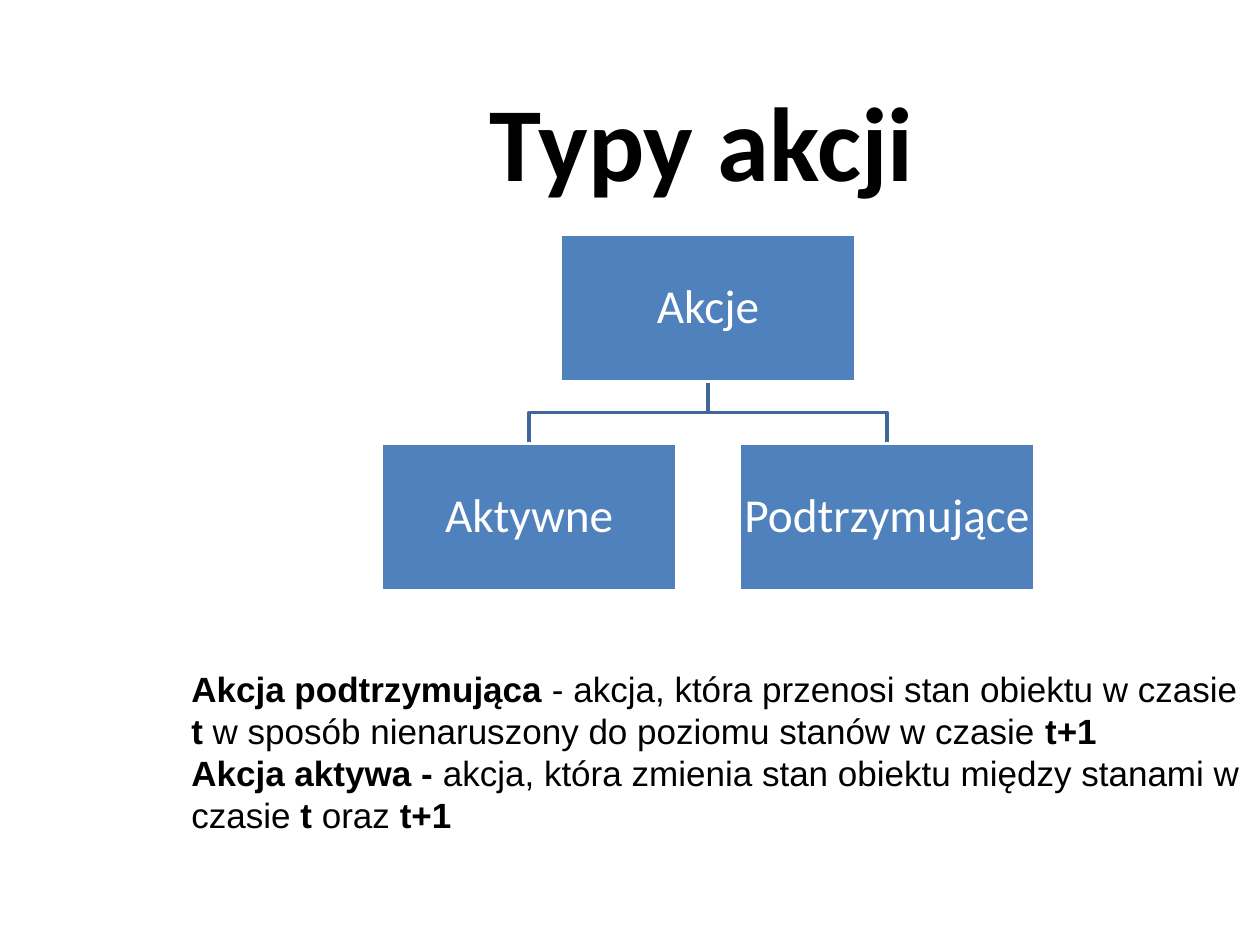
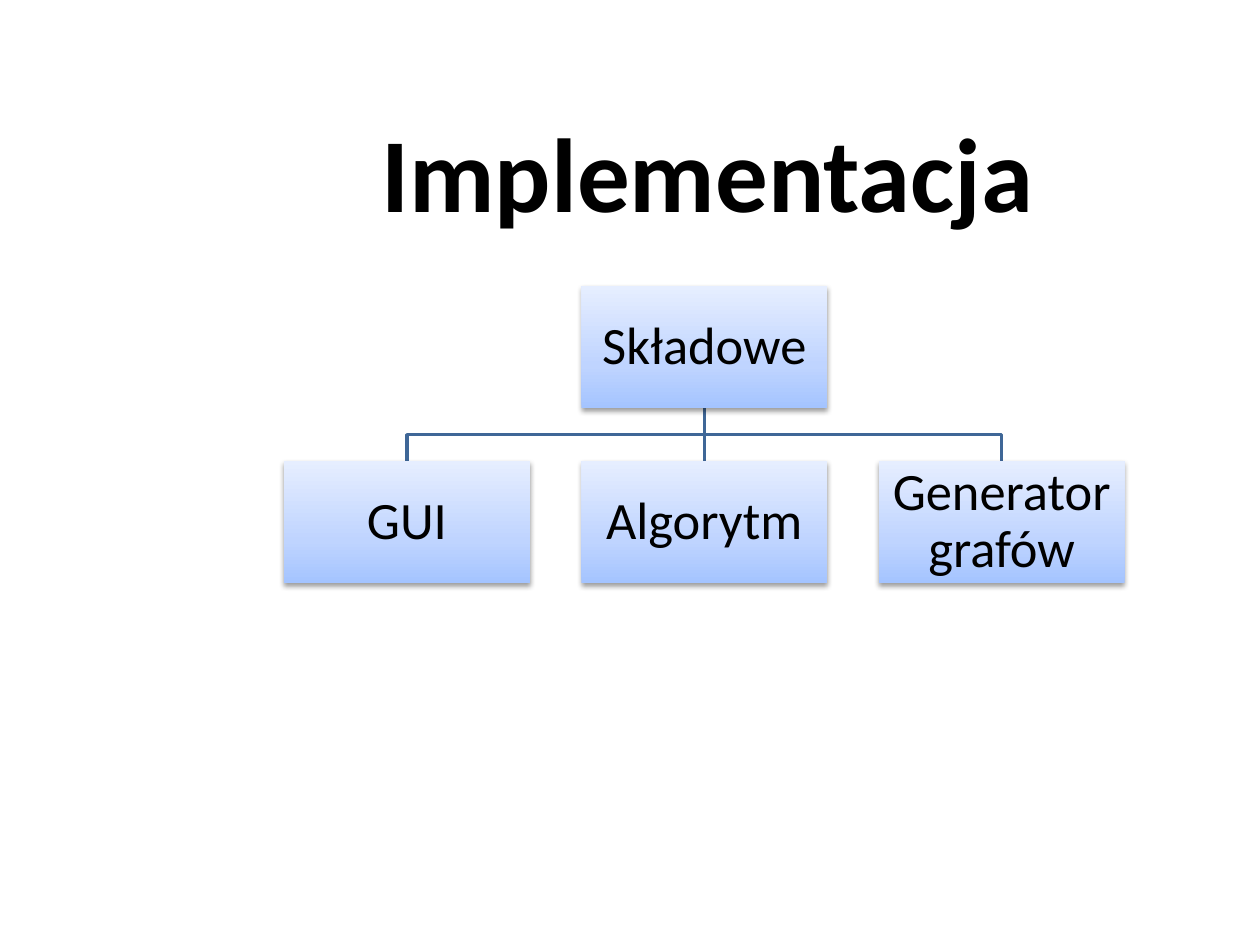
"""Build two slides, each with a title and a tree of boxes."""
from copy import deepcopy

from pptx import Presentation
from pptx.dml.color import RGBColor as RGB
from pptx.enum.shapes import MSO_CONNECTOR as LINK, MSO_SHAPE as SHAPE
from pptx.enum.text import MSO_ANCHOR as ANCHOR, PP_ALIGN as ALIGN
from pptx.oxml import parse_xml
from pptx.oxml.ns import nsdecls, qn
from pptx.util import Inches, Pt

HUES = {"ink": "000000", "white": "FFFFFF", "box": "4F81BD", "line": "3F6797",
        "low": "A4C4FF", "mid": "BFD4FF", "high": "E6EEFF"}
FADE = [("low", 0), ("mid", 0.35), ("high", 1)]
SHADE = (f'<a:outerShdw {nsdecls("a")} blurRad="{Pt(3.1)}" dist="{Pt(1.6)}" dir="5400000" '
         f'rotWithShape="0"><a:srgbClr val="{HUES["ink"]}"><a:alpha val="38000"/>'
         '</a:srgbClr></a:outerShdw>')


def hue(name):
    return RGB.from_string(HUES[name])


def write(shape, text, size, tint="ink", bold=False):
    frame = shape.text_frame
    frame.word_wrap = True
    frame.vertical_anchor = ANCHOR.MIDDLE
    frame.text = text
    par = frame.paragraphs[0]
    par.alignment = ALIGN.CENTER
    font = par.runs[0].font
    font.name, font.size, font.bold = "Calibri", Pt(size), bold
    font.color.rgb = hue(tint)
    return frame, par


TREES = [
    {"title": "Typy akcji", "at": (1.38, -0.11, 8.48, 2.44),
     "root": "Akcje", "kids": ["Aktywne", "Podtrzymujące"],
     "mid": 5.62, "tops": (1.86, 3.52), "box": (2.34, 1.17), "step": 2.84,
     "size": 27, "tint": "white", "fade": False},
    {"title": "Implementacja", "at": (1.46, 0.13, 8.41, 2.44),
     "root": "Składowe", "kids": ["GUI", "Algorytm", "Generator grafów"],
     "mid": 5.59, "tops": (2.27, 3.66), "box": (1.95, 0.97), "step": 2.36,
     "size": 30, "tint": "ink", "fade": True},
]
NOTES = [
    [("Akcja podtrzymująca ", True),
     ("- akcja, która przenosi stan obiektu w czasie ", False), ("t", True),
     (" w sposób nienaruszony do poziomu stanów w czasie ", False), ("t+1", True)],
    [("Akcja aktywa - ", True),
     ("akcja, która zmienia stan obiektu między stanami w czasie ", False),
     ("t", True), (" oraz ", False), ("t+1", True)],
]

deck = Presentation()
deck.slide_width, deck.slide_height = Inches(10), Inches(7.5)

for tree in TREES:
    slide = deck.slides.add_slide(deck.slide_layouts[6])
    shapes = slide.shapes
    title = shapes.add_textbox(*map(Inches, tree["at"]))
    frame, par = write(title, tree["title"], 60, bold=True)
    frame.margin_left = 0
    par.space_before = Pt(10)

    wide, high = tree["box"]
    top, low = tree["tops"]
    mid, kids = tree["mid"], tree["kids"]
    spots = [mid + (i - (len(kids) - 1) / 2) * tree["step"] for i in range(len(kids))]
    nodes = []
    for text, x, y in [(tree["root"], mid, top)] + [(k, x, low) for k, x in zip(kids, spots)]:
        node = shapes.add_shape(SHAPE.RECTANGLE, Inches(x - wide / 2), Inches(y),
                                Inches(wide), Inches(high))
        node.shadow.inherit = False
        if tree["fade"]:
            node.fill.gradient()
            node.fill.gradient_angle = 90
            stops = node._element.spPr.find(qn("a:gradFill")).find(qn("a:gsLst"))
            stops.append(deepcopy(stops[-1]))
            for stop, (name, place) in zip(node.fill.gradient_stops, FADE):
                stop.color.rgb, stop.position = hue(name), place
            node.line.fill.background()
            node._element.spPr.find(qn("a:effectLst")).append(parse_xml(SHADE))
        else:
            node.fill.solid()
            node.fill.fore_color.rgb = hue("box")
            node.line.color.rgb, node.line.width = hue("white"), Pt(2)
        frame, par = write(node, text, tree["size"], tree["tint"])
        frame.margin_left = frame.margin_right = Inches(0.02)
        frame.margin_top = frame.margin_bottom = Inches(0.02)
        par.line_spacing = 0.9
        nodes.append(node)

    base = top + high
    bend = (base + low) / 2
    for x, node in zip(spots, nodes[1:]):
        if x == mid:
            line = shapes.add_connector(LINK.STRAIGHT, Inches(mid), Inches(base),
                                        Inches(mid), Inches(low))
            line.begin_connect(nodes[0], 2)
            line.end_connect(node, 0)
            line._element.spPr.append(parse_xml(f'<a:effectLst {nsdecls("a")}/>'))
        else:
            pen = shapes.build_freeform(Inches(mid), Inches(base))
            turns = [(mid, bend), (x, bend), (x, low)]
            pen.add_line_segments([(Inches(a), Inches(b)) for a, b in turns], close=False)
            line = pen.convert_to_shape()
            line.fill.background()
            line.shadow.inherit = False
        line.line.color.rgb, line.line.width = hue("line"), Pt(2)
        title._element.addnext(line._element)

note = deck.slides[0].shapes.add_textbox(Inches(1.42), Inches(5.25), Inches(8.62), Inches(1.45))
frame = note.text_frame
frame.word_wrap = True
for i, parts in enumerate(NOTES):
    par = frame.add_paragraph() if i else frame.paragraphs[0]
    for text, bold in parts:
        run = par.add_run()
        run.text = text
        run.font.name, run.font.size, run.font.bold = "Arial", Pt(20), bold
        run.font.color.rgb = hue("ink")

deck.save("out.pptx")
